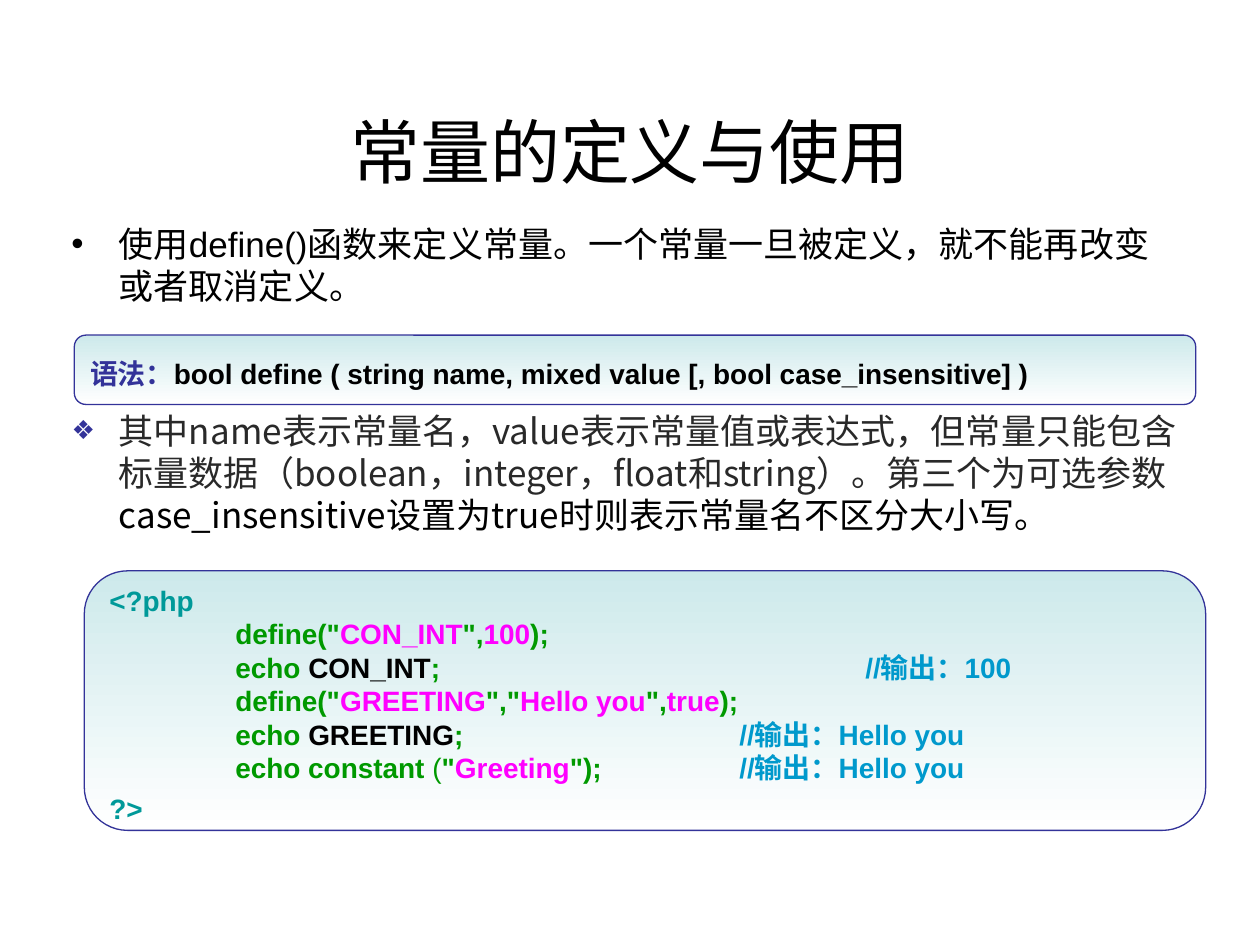
"""Build a slide on defining and using PHP constants."""
import pptx
import pptx.util
import pptx.dml.color
import pptx.enum.shapes
import pptx.enum.text
import pptx.oxml.ns
from lxml import etree

Pt = pptx.util.Pt
ALIGN = pptx.enum.text.PP_ALIGN
MIDDLE = pptx.enum.text.MSO_ANCHOR.MIDDLE
ROUND = pptx.enum.shapes.MSO_SHAPE.FLOWCHART_ALTERNATE_PROCESS
qn = pptx.oxml.ns.qn
SANS = "Noto Sans CJK SC"
COLORS = {
    "black": "000000", "gray": "292929", "navy": "333399", "teal": "009999",
    "green": "009900", "pink": "FF00FF", "blue": "0099CC",
    "mist": "CDE9EB", "white": "FFFFFF",
}


def rgb(name):
    return pptx.dml.color.RGBColor.from_string(COLORS[name])


def write(para, text, color, size, bold=False, face="Arial"):
    run = para.add_run()
    run.text = text
    font = run.font
    font.name, font.size, font.bold = face, Pt(size), bold
    font.color.rgb = rgb(color)
    etree.SubElement(run._r.get_or_add_rPr(), qn("a:ea"), typeface=SANS)


deck = pptx.Presentation()
deck.slide_width, deck.slide_height = Pt(720), Pt(540)
slide = deck.slides.add_slide(deck.slide_layouts[5])

title = slide.shapes.title
title.left, title.top, title.width, title.height = Pt(36), Pt(49), Pt(648), Pt(73.5)
title.text_frame.vertical_anchor = MIDDLE
head = title.text_frame.paragraphs[0]
head.alignment = ALIGN.CENTER
write(head, "常量的定义与使用", "black", 40)

notes = [
    (123.8, 648, 72.7, "•", "black", 100, "Arial", [
        ("使用define()函数来定义常量。一个常量一旦被定义，就不能再改变或者取消定义。", "black")]),
    (230.4, 656.6, 118, "❖", "navy", 75, SANS, [
        ("其中name表示常量名，value表示常量值或表达式，但常量只能包含标量数据"
         "（boolean，integer，float和string）。第三个为可选参数", "gray"),
        ("case_insensitive设置为true时则表示常量名不区分大小写。", "black")]),
]
for top, width, height, mark, tint, scale, face, parts in notes:
    box = slide.shapes.add_textbox(Pt(33.8), Pt(top), Pt(width), Pt(height))
    box.text_frame.word_wrap = True
    para = box.text_frame.paragraphs[0]
    props = para._p.get_or_add_pPr()
    props.set("marL", str(Pt(27)))
    props.set("indent", str(-Pt(27)))
    hue = etree.SubElement(props, qn("a:buClr"))
    etree.SubElement(hue, qn("a:srgbClr"), val=COLORS[tint])
    etree.SubElement(props, qn("a:buSzPct"), val=str(scale * 1000))
    etree.SubElement(props, qn("a:buFont"), typeface="Arial")
    etree.SubElement(props, qn("a:buChar"), char=mark)
    for text, color in parts:
        write(para, text, color, 20, face=face)

syntax = [
    [("语法：", "navy"),
     ("bool define ( string name, mixed value [, bool case_insensitive] )", "black")],
]
code = [
    [("<?php", "teal")],
    [("\tdefine(\"", "green"), ("CON_INT", "pink"), ("\",", "green"),
     ("100", "pink"), (");", "green")],
    [("\techo ", "green"), ("CON_INT", "black"), (";\t\t\t\t", "green"),
     ("//输出：100", "blue")],
    [("\tdefine(\"", "green"), ("GREETING", "pink"), ("\",\"", "green"),
     ("Hello you", "pink"), ("\",", "green"), ("true", "pink"), (");", "green")],
    [("\techo ", "green"), ("GREETING", "black"), (";\t\t\t", "green"),
     ("//输出：Hello you", "blue")],
    [("\techo constant", "green"), (" (", "green"), ("\"", "green"),
     ("Greeting", "pink"), ("\");\t\t", "green"), ("//输出：Hello you", "blue")],
    [("?>", "teal")],
]
panels = [(42.5, 191.5, 39.6, syntax), (48.2, 326.2, 148.3, code)]
for left, top, height, lines in panels:
    panel = slide.shapes.add_shape(ROUND, Pt(left), Pt(top), Pt(640.8), Pt(height))
    panel.shadow.inherit = False
    panel.fill.gradient()
    panel.fill.gradient_angle = 270
    for stop, place, color in zip(panel.fill.gradient_stops, (0, 1), ("mist", "white")):
        stop.position = place
        stop.color.rgb = rgb(color)
    panel.line.color.rgb = rgb("navy")
    panel.line.width = Pt(0.75)
    frame = panel.text_frame
    frame.word_wrap = False
    frame.vertical_anchor = MIDDLE
    for row, parts in enumerate(lines):
        para = frame.add_paragraph() if row else frame.paragraphs[0]
        tabs = etree.SubElement(para._p.get_or_add_pPr(), qn("a:tabLst"))
        for step in range(1, 8):
            etree.SubElement(tabs, qn("a:tab"), pos=str(Pt(72 * step)), algn="l")
        para.alignment = ALIGN.LEFT
        para.line_spacing = 1.2 if row in (0, len(lines) - 1) else 1.0
        for text, color in parts:
            write(para, text, color, 16, bold=text != " (")

deck.save("out.pptx")
